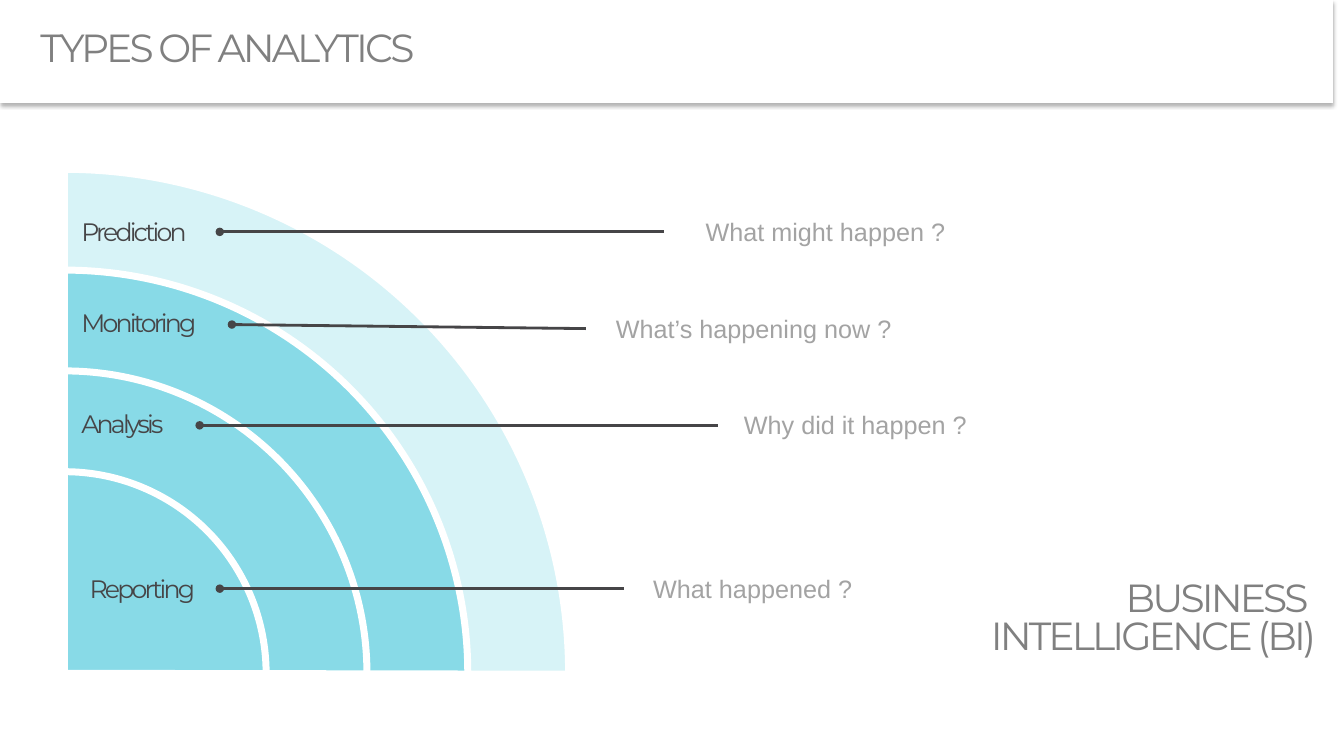
"""Build the slide on types of analytics: nested quarter rings with labelled questions."""
from lxml import etree
from pptx import Presentation
from pptx.dml.color import RGBColor
from pptx.enum.shapes import MSO_CONNECTOR, MSO_SHAPE
from pptx.enum.text import MSO_ANCHOR, MSO_AUTO_SIZE, PP_ALIGN
from pptx.oxml import parse_xml
from pptx.oxml.ns import nsdecls, qn
from pptx.util import Inches, Pt

STRAIGHT, PIE = MSO_CONNECTOR.STRAIGHT, MSO_SHAPE.PIE
MIDDLE, LEFT, RIGHT = MSO_ANCHOR.MIDDLE, PP_ALIGN.LEFT, PP_ALIGN.RIGHT
FIT_SHAPE, NO_FIT = MSO_AUTO_SIZE.SHAPE_TO_FIT_TEXT, MSO_AUTO_SIZE.NONE
COLS, ROWS, CELL = 13.33, 7.5, Inches(1)
CENTRE = (0.64, 6.68)
WHITE, TEAL, PALE, DARK = "FFFFFF", "88DAE7", "D7F3F7", "464547"
HEADING = {"name": "Montserrat", "size": Pt(28), "color": "808080", "spc": -200}
LABEL = {"name": "Montserrat", "size": Pt(18), "color": DARK, "spc": -200}
QUESTION = {"name": "Arial", "size": Pt(18), "color": "A3A3A3"}
SHADOW = (
    f'<a:effectLst {nsdecls("a")}><a:outerShdw blurRad="39370" dist="25400" dir="5400000" '
    'algn="t" rotWithShape="0"><a:srgbClr val="000000"><a:alpha val="30000"/></a:srgbClr>'
    '</a:outerShdw></a:effectLst>'
)
RINGS = [(5, PALE), (4, TEAL), (3, TEAL), (2, TEAL)]
LEVELS = [
    ("Prediction", (0.71, 2.1, 1.34), (2.18, 2.3), (6.59, 2.3),
     "What might happen ?", (6.9, 2.1, 2.76)),
    ("Monitoring", (0.71, 3, 1.39), (2.3, 3.22), (5.81, 3.26),
     "What’s happening now ?", (6.01, 3.06, 3.19)),
    ("Analysis", (0.71, 4, 1.15), (1.98, 4.22), (7.12, 4.22),
     "Why did it happen ?", (7.28, 4.01, 2.6)),
    ("Reporting", (0.79, 5.64, 1.3), (2.18, 5.84), (6.19, 5.84),
     "What happened ?", (6.38, 5.64, 2.31)),
]


def rgb(value):
    """Turn a hex string into a colour."""
    return RGBColor.from_string(value)


def cells(*counts):
    """Turn counts of grid cells into lengths."""
    return [round(n * CELL) for n in counts]


class Deck:
    """Hold the presentation, its current slide and its style."""

    def __init__(self):
        """Open a deck with one title-only slide."""
        self.prs = Presentation()
        self.prs.slide_width, self.prs.slide_height = cells(COLS, ROWS)
        self.slide = self.prs.slides.add_slide(self.prs.slide_layouts[5])

    def fill_text(self, tf, lines, style, align=LEFT, spacing=None):
        """Fill a text frame with one styled paragraph per line."""
        for i, line in enumerate(lines):
            p = tf.add_paragraph() if i else tf.paragraphs[0]
            p.alignment, p.line_spacing = align, spacing
            r = p.add_run()
            r.text = line
            for key, value in style.items():
                if key == "color":
                    r.font.color.rgb = rgb(value)
                elif key == "spc":
                    r._r.get_or_add_rPr().set("spc", str(value))
                else:
                    setattr(r.font, key, value)

    def title(self, text, width, height):
        """Format the title placeholder as a shadowed bar across the top."""
        sp = self.slide.shapes.title
        sp.left, sp.top, sp.width, sp.height = cells(0, 0, width, height)
        sp.fill.solid()
        sp.fill.fore_color.rgb = rgb(WHITE)
        sp._element.spPr.append(parse_xml(SHADOW))
        tf = sp.text_frame
        tf.auto_size, tf.vertical_anchor = NO_FIT, MIDDLE
        tf.margin_left = Inches(0.4)
        self.fill_text(tf, [text], HEADING, spacing=0.8)

    def ring(self, radius, color):
        """Draw an upper-right quarter disc around the common centre."""
        x, y = CENTRE
        sp = self.slide.shapes.add_shape(
            PIE, *cells(x - radius, y - radius, 2 * radius, 2 * radius))
        sp.adjustments[0], sp.adjustments[1] = 162, 0.06
        sp.shadow.inherit = False
        sp.fill.solid()
        sp.fill.fore_color.rgb = rgb(color)
        sp.line.color.rgb = rgb(WHITE)
        sp.line.width = Pt(5)

    def text(self, lines, x, y, width, height=0.4, style=LABEL, wrap=False, **layout):
        """Add a text box."""
        sp = self.slide.shapes.add_textbox(*cells(x, y, width, height))
        tf = sp.text_frame
        tf.word_wrap, tf.auto_size = wrap, FIT_SHAPE
        self.fill_text(tf, lines, style, **layout)

    def pointer(self, start, end):
        """Draw a line that starts with a round dot."""
        sp = self.slide.shapes.add_connector(STRAIGHT, *cells(*start, *end))
        sp.line.color.rgb = rgb(DARK)
        sp.line.width = Pt(2)
        etree.SubElement(sp.line._get_or_add_ln(), qn("a:headEnd"), type="oval")
        etree.SubElement(sp._element.spPr, qn("a:effectLst"))


def main():
    """Build and save the slide."""
    deck = Deck()
    deck.title("TYPES OF ANALYTICS", 13.22, 1.02)
    for radius, color in RINGS:
        deck.ring(radius, color)
    for label, label_at, start, end, question, question_at in LEVELS:
        deck.text([label], *label_at)
        deck.pointer(start, end)
        deck.text([question], *question_at, style=QUESTION)
    deck.text(["BUSINESS ", "INTELLIGENCE (BI)"], 6.46, 5.73, 6.69, 0.86,
              style=HEADING, wrap=True, align=RIGHT, spacing=0.8)
    deck.prs.save("out.pptx")


if __name__ == "__main__":
    main()
